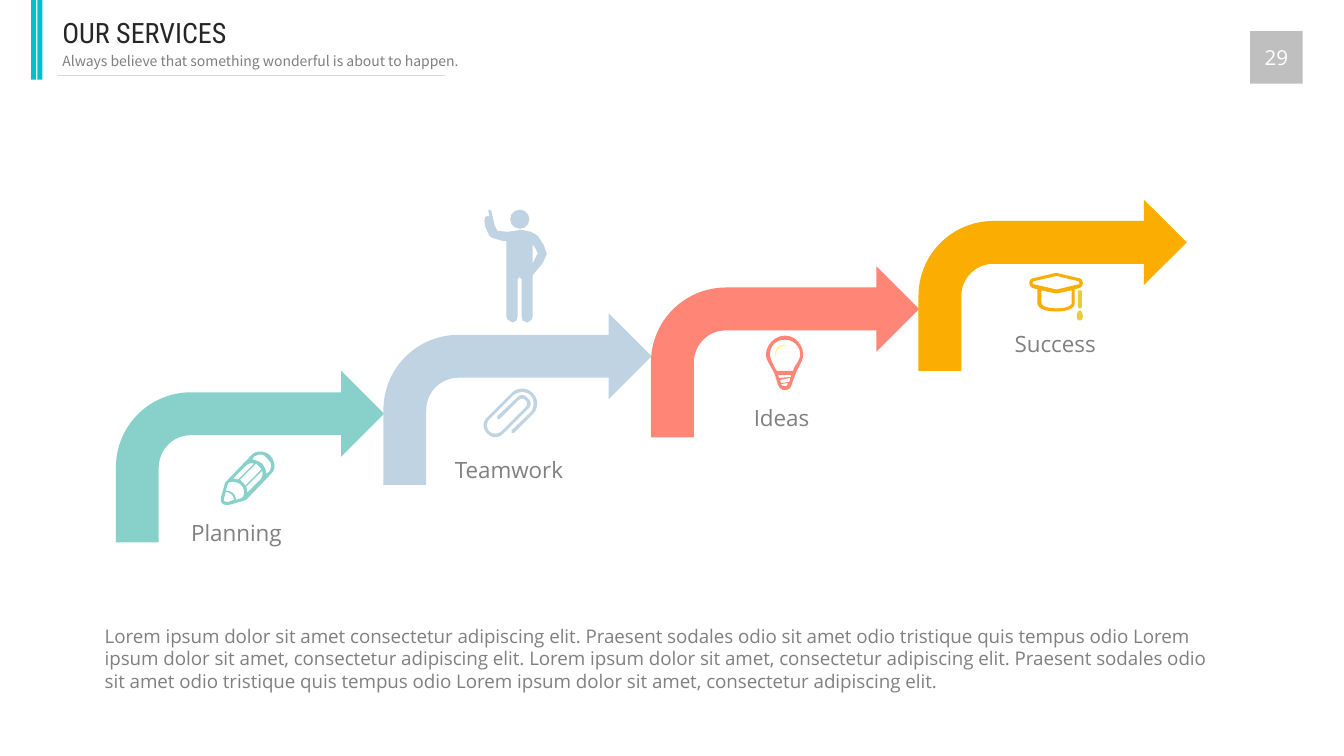
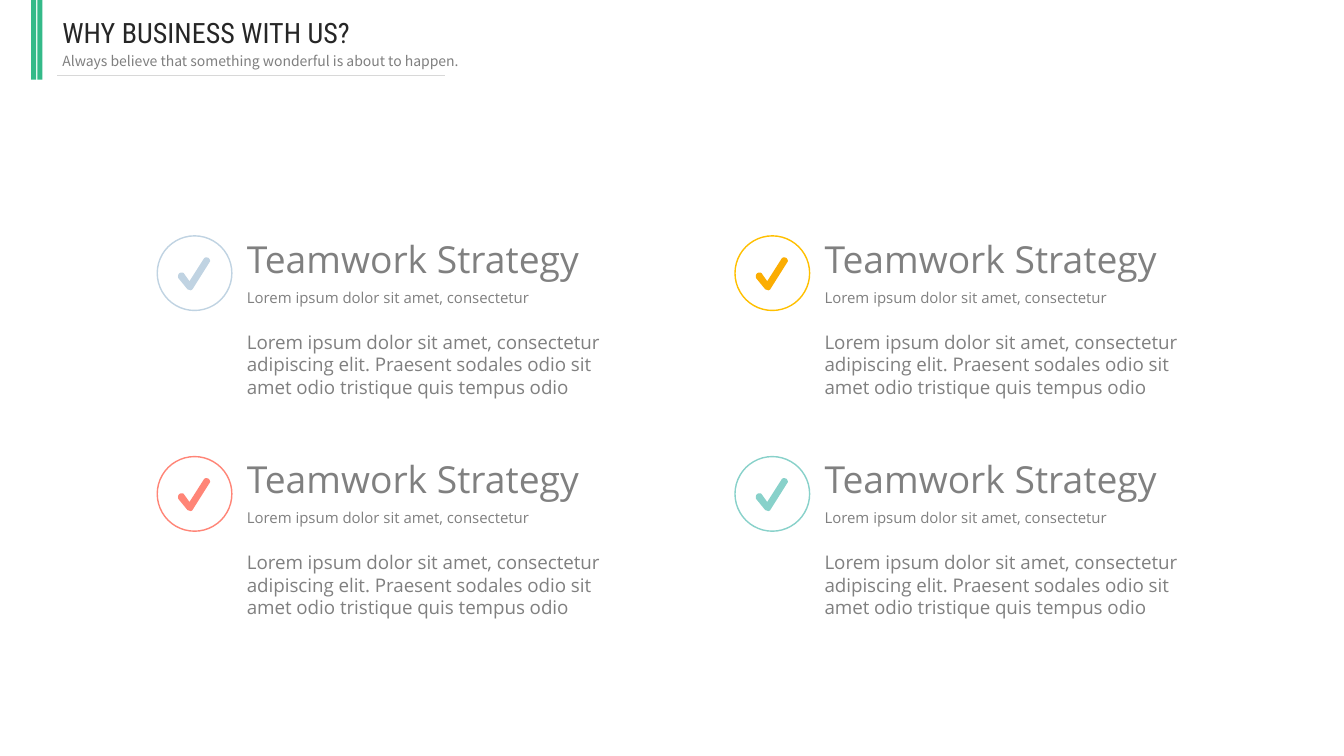
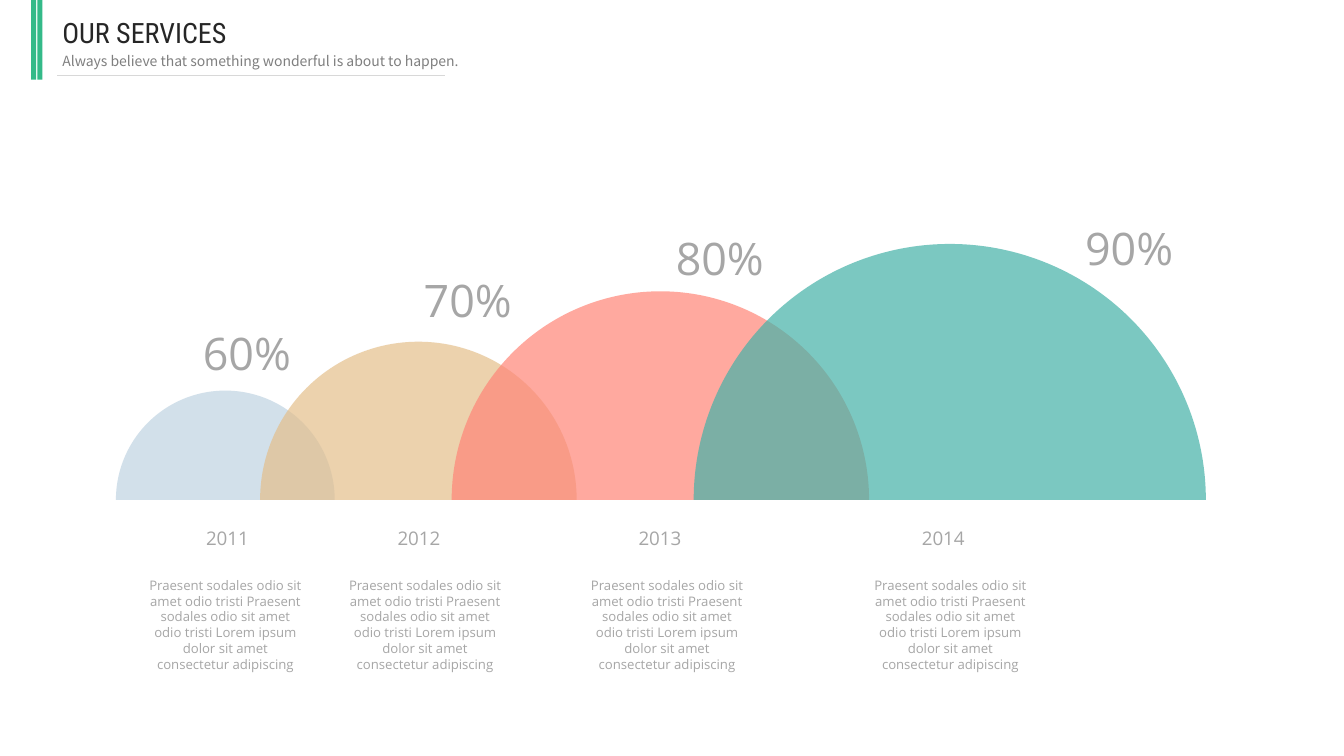
import dataclasses

import lxml.etree
import pptx
import pptx.dml.color
import pptx.enum.shapes
import pptx.enum.text
import pptx.oxml.ns
import pptx.util

Inches = pptx.util.Inches
SHAPE = pptx.enum.shapes.MSO_SHAPE
ALIGN = pptx.enum.text.PP_ALIGN


@dataclasses.dataclass(frozen=True)
class Theme:
    """Colours, fonts and type sizes of the deck."""
    mint: str = "88D1CA"
    blue: str = "C0D3E2"
    coral: str = "FF8577"
    amber: str = "FBAD02"
    gold: str = "FFC000"
    straw: str = "E7CE39"
    lemon: str = "F8F689"
    sand: str = "E4BF8B"
    teal: str = "44B2A8"
    cyan: str = "00C0CB"
    green: str = "34BA89"
    ink: str = "262626"
    gray: str = "808080"
    dim: str = "7F7F7F"
    pale: str = "A6A6A6"
    badge: str = "BFBFBF"
    rule: str = "D8D8D8"
    white: str = "FFFFFF"
    font: str = "Open Sans"
    head: str = "Roboto Condensed"
    sub: str = "Noto Sans CJK SC"
    title: float = 20
    lead: float = 10
    page: float = 14.67
    label: float = 16
    body: float = 13.33
    large: float = 26.67
    note: float = 10.67
    small: float = 9.33
    huge: float = 32


T = Theme()

CAP = [
    "M 26 16 L 4 11 C 3 11 3 8 4 8 L 26 3 28 3 49 8 C 50 9 50 11 49 11 L 28 16",
    "M 42 30 C 42 32 37 35 27 35 17 35 12 32 12 30 L 12 17 25 20 28 20 42 17",
    "M 53 10 C 53 8 52 5 49 5 L 28 0 25 0 4 5 C 1 5 0 8 0 10 0 12 1 14 4 15 "
    "L 8 16 8 30 C 8 34 13 38 27 38 40 38 45 34 45 30 L 45 16 49 15 "
    "C 52 14 53 12 53 10",
]
CORD = [
    "M 48 18 L 48 33 C 48 34 49 35 50 35 51 35 52 34 52 33 L 52 18 "
    "C 52 17 51 17 50 17 49 17 48 17 48 18",
]
DROP = [
    "M 50 37 C 48 37 47 41 47 43 47 45 48 47 50 47 52 47 53 45 53 43 "
    "53 41 52 37 50 37",
]
PENCIL = [
    "M 48 20 L 45 22 C 45 18 43 15 41 12 38 10 34 8 31 8 L 33 5 "
    "C 35 4 37 3 39 3 42 3 44 4 46 7 48 9 50 11 50 14 50 16 49 18 48 20",
    "M 15 48 C 15 46 14 43 12 41 10 40 8 39 5 39 L 7 32 8 31 "
    "C 11 29 16 30 20 33 24 37 24 43 21 46",
    "M 7 50 L 6 50 C 4 50 3 49 3 48 L 3 47 5 40 C 7 40 9 41 11 43 "
    "12 44 13 46 13 48",
    "M 17 28 C 16 27 14 27 12 27 L 25 14 C 27 12 30 11 33 12",
    "M 24 34 C 24 33 23 32 22 31 21 30 20 29 19 28 L 35 12 "
    "C 36 13 37 14 38 15 39 16 40 17 40 18",
    "M 26 40 C 26 38 26 37 25 35 L 41 19 C 42 23 41 26 39 28 L 26 41",
    "M 49 4 C 46 1 42 0 39 0 36 0 33 1 31 3 L 6 29 C 5 30 4 31 4 32 "
    "L 0 46 C 0 46 0 47 0 48 0 51 2 53 6 53 L 8 53 22 49 "
    "C 23 49 24 48 25 48 L 50 22 C 55 17 54 10 49 4",
]
BULB = [
    "M 27 35 L 11 35 C 10 34 9 32 8 30 6 26 4 22 4 19 4 10 10 4 19 4 "
    "27 4 34 10 34 19 34 22 32 26 29 30 28 32 27 34 27 35",
    "M 19 50 C 17 50 16 50 15 48 L 22 47 C 21 50 21 50 19 50",
    "M 13 42 L 12 39 25 39 25 41",
    "M 23 46 L 15 47 14 44 24 42 24 44",
    "M 19 0 C 9 0 0 9 0 19 0 25 7 33 9 39 12 48 12 54 19 54 "
    "26 54 25 48 29 39 31 33 37 25 37 19 37 9 29 0 19 0",
]
GLINT = [
    "M 19 9 C 13 9 9 13 9 19 9 20 10 20 10 19 10 14 14 10 19 10 20 10 20 9 19 9",
]
CLIP = [
    "M 49 5 C 43 -1 34 -1 28 5 L 4 29 C -1 33 -1 41 4 45 8 50 16 50 20 45 "
    "L 44 21 C 48 18 48 13 44 10 41 6 36 6 33 10 L 14 28 14 30 "
    "C 15 31 16 31 17 30 L 35 12 C 37 10 40 10 42 12 44 14 44 17 42 19 "
    "L 18 43 C 14 46 9 46 6 43 3 40 3 34 6 31 L 30 7 "
    "C 35 3 42 3 47 7 51 12 51 19 47 24 L 28 42 28 44 "
    "C 29 45 30 45 31 44 L 49 26 C 55 20 55 11 49 5",
]
MAN = [
    "M 59 35 L 53 26 50 24 46 22 37 20 23 22 13 21 10 15 7 1 5 0 4 1 5 6 "
    "1 7 0 11 1 17 5 26 8 28 18 31 22 31 22 106 23 109 28 112 32 110 33 106 "
    "33 69 35 67 37 69 37 106 38 110 43 112 47 109 48 106 48 65 53 59 58 53 "
    "62 44",
]
ELBOW = ["M 52 45 L 50 49 48 53 48 35 51 39 53 44"]
TICK = [
    "M 13 33 L 10 32 1 21 C 0 19 1 17 2 16 4 15 6 15 7 17 L 12 24 26 2 "
    "C 27 0 29 0 31 1 32 2 33 4 32 5 L 15 32 C 15 32 14 33 13 33",
]


def tint(code):
    """Turn a hex code into a colour."""
    return pptx.dml.color.RGBColor.from_string(code)


def paint(shape, fill=None, line=None, alpha=None):
    """Give a shape its fill, outline and opacity in percent."""
    shape.shadow.inherit = False
    if fill:
        shape.fill.solid()
        shape.fill.fore_color.rgb = tint(fill)
    else:
        shape.fill.background()
    if line:
        shape.line.color.rgb = tint(line)
        shape.line.width = pptx.util.Pt(1)
    else:
        shape.line.fill.background()
    if alpha:
        qn = pptx.oxml.ns.qn
        color = shape._element.spPr.find(qn("a:solidFill"))[0]
        lxml.etree.SubElement(color, qn("a:alpha")).set("val", str(alpha * 1000))
    return shape


def form(slide, kind, box, **look):
    """Add a painted preset shape in a box given in inches."""
    return paint(slide.shapes.add_shape(kind, *map(Inches, box)), **look)


def write(slide, text, box, size, font=T.font, color=T.gray, align=None,
          inset=(0.1, 0.05), wrap=True, host=None):
    """Write text in a new text box, or in the host shape."""
    frame = (host or slide.shapes.add_textbox(*map(Inches, box))).text_frame
    frame.word_wrap = wrap
    if host is None:
        frame.auto_size = pptx.enum.text.MSO_AUTO_SIZE.SHAPE_TO_FIT_TEXT
    frame.margin_left = frame.margin_right = Inches(inset[0])
    frame.margin_top = frame.margin_bottom = Inches(inset[1])
    para = frame.paragraphs[0]
    para.alignment = align
    run = para.add_run()
    run.text = text
    run.font.size = pptx.util.Pt(size)
    run.font.name = font
    run.font.color.rgb = tint(color)


def trace(outline, steps=6):
    """Turn an outline in hundredths of an inch into points in inches."""
    points = []
    for part in outline.replace("L", "|L").replace("C", "|C").split("|"):
        nums = [int(word) / 100 for word in part.split()[1:]]
        pairs = list(zip(nums[::2], nums[1::2]))
        if part[0] != "C":
            points += pairs
            continue
        for i in range(0, len(pairs), 3):
            knots = [points[-1]] + pairs[i:i + 3]
            for step in range(1, steps + 1):
                t = step / steps
                parts = ((1 - t) ** 3, 3 * t * (1 - t) ** 2,
                         3 * t * t * (1 - t), t ** 3)
                points.append(tuple(sum(w * knot[axis] for w, knot in zip(parts, knots))
                                    for axis in (0, 1)))
    return points


def icon(slide, outlines, left, top, fill):
    """Draw closed outlines as one freeform."""
    pen = None
    for outline in outlines:
        first, *rest = [tuple(map(Inches, point)) for point in trace(outline)]
        if pen is None:
            pen = slide.shapes.build_freeform(*first, scale=1.0)
        else:
            pen.move_to(*first)
        pen.add_line_segments(rest, close=True)
    paint(pen.convert_to_shape(Inches(left), Inches(top)), fill=fill)


def header(slide, title, color):
    """Place the twin bars, title, tagline and rule."""
    for left in (0.31, 0.37):
        form(slide, SHAPE.RECTANGLE, (left, 0, 0.05, 0.79), fill=color)
    write(slide, title, (0.52, 0.1, 4.23, 0.44), T.title, font=T.head, color=T.ink)
    write(slide, "Always believe that something wonderful is about to happen.",
          (0.52, 0.47, 4.23, 0.27), T.lead, font=T.sub, color=T.dim)
    rule = slide.shapes.add_connector(
        pptx.enum.shapes.MSO_CONNECTOR.STRAIGHT,
        *map(Inches, (0.57, 0.75, 4.41, 0.75)))
    rule.line.color.rgb = tint(T.rule)
    rule.line.width = pptx.util.Pt(0.75)
    lxml.etree.SubElement(rule._element.spPr, pptx.oxml.ns.qn("a:effectLst"))


def stage(slide, left, top, color, name, label, marks):
    """Place one bent arrow with its label and icons."""
    form(slide, SHAPE.BENT_ARROW, (left, top, 2.66, 1.7), fill=color)
    write(slide, name, (left + label[0], top + label[1], 1.35, 0.37),
          T.label, align=ALIGN.CENTER)
    for outlines, across, down, fill in marks:
        icon(slide, outlines, left + across, top + down, fill)


def stairs(slide):
    """Build the slide of four rising arrows."""
    header(slide, "OUR SERVICES", T.cyan)
    stages = [
        (3.68, T.mint, "Planning", (0.52, 1.42), [(PENCIL, 1.04, 0.8, T.mint)]),
        (3.11, T.blue, "Teamwork", (0.57, 1.37),
         [(CLIP, 0.99, 0.74, T.blue), (MAN, 1, -1.03, T.blue),
          (ELBOW, 1, -1.03, T.white)]),
        (2.64, T.coral, "Ideas", (0.62, 1.32),
         [(BULB, 1.14, 0.69, T.coral), (GLINT, 1.14, 0.69, T.lemon)]),
        (1.98, T.amber, "Success", (0.68, 1.25),
         [(CAP, 1.1, 0.73, T.amber), (CORD, 1.1, 0.73, T.straw),
          (DROP, 1.1, 0.73, T.straw)]),
    ]
    pitch = (9.11 - 1.15) / 3
    for i, (top, *rest) in enumerate(stages):
        stage(slide, 1.15 + i * pitch, top, *rest)
    form(slide, SHAPE.OVAL, (5.06, 2.08, 0.19, 0.19), fill=T.blue)
    write(slide, "Lorem ipsum dolor sit amet consectetur adipiscing elit. "
          "Praesent sodales odio sit amet odio tristique quis tempus odio "
          "Lorem ipsum dolor sit amet, consectetur adipiscing elit. "
          "Lorem ipsum dolor sit amet, consectetur adipiscing elit. "
          "Praesent sodales odio sit amet odio tristique quis tempus odio "
          "Lorem ipsum dolor sit amet, consectetur adipiscing elit.",
          (0.94, 6.15, 11.33, 0.77), T.body)
    badge = form(slide, SHAPE.RECTANGLE, (12.4, 0.31, 0.52, 0.52), fill=T.badge)
    write(slide, "29", None, T.page, color=T.white, align=ALIGN.CENTER, host=badge)


def reason(slide, left, top, ring, tick):
    """Place one ticked ring with its three texts."""
    form(slide, SHAPE.OVAL, (left, top + 0.05, 0.74, 0.74), line=ring)
    icon(slide, TICK, left + 0.2, top + 0.26, tick)
    side = left + 0.79
    write(slide, "Teamwork Strategy", (side, top, 4.58, 0.55), T.large)
    write(slide, "Lorem ipsum dolor sit amet, consectetur adipiscing elit. "
          "Praesent sodales odio sit amet odio tristique quis tempus odio",
          (side, top + 0.94, 3.85, 0.77), T.body)
    write(slide, "Lorem ipsum dolor sit amet, consectetur",
          (side, top + 0.52, 3.13, 0.28), T.note)


def reasons(slide):
    """Build the slide of four reasons in a grid."""
    header(slide, "WHY BUSINESS WITH US?", T.green)
    looks = [(T.blue, T.blue), (T.coral, T.coral), (T.gold, T.amber), (T.mint, T.mint)]
    for i, look in enumerate(looks):
        col, row = divmod(i, 2)
        reason(slide, 1.56 + col * 5.73, 2.29 + row * 2.19, *look)


def dome(slide, left, base, size, color, year, share, year_x, body_x, share_at):
    """Place one half disc on the base line with its texts."""
    top = base - size / 2
    arc = form(slide, SHAPE.ARC, (left, top, size, size), fill=color, alpha=70)
    arc.adjustments[0] = 108
    arc.adjustments[1] = 0
    look = dict(color=T.pale, align=ALIGN.CENTER)
    write(slide, year, (left + year_x, base + 0.2, 1.01, 0.36), T.body,
          inset=(0.13, 0.07), **look)
    write(slide, "Praesent sodales odio sit amet odio tristi Praesent sodales odio "
          "sit amet odio tristi Lorem ipsum dolor sit amet consectetur adipiscing",
          (left + body_x, base + 0.72, 1.77, 1.04), T.small, **look)
    write(slide, share, (left + share_at[0], top + share_at[1], 1.1, 0.64),
          T.huge, wrap=False, **look)


def domes(slide):
    """Build the slide of four growing half discs."""
    header(slide, "OUR SERVICES", T.green)
    for left, *rest in [
        (1.15, 2.17, T.blue, "2011", "60%", 0.6, 0.2, (0.75, -0.69)),
        (2.58, 3.14, T.sand, "2012", "70%", 1.07, 0.75, (1.51, -0.73)),
        (4.48, 4.14, T.coral, "2013", "80%", 1.56, 1.25, (2.11, -0.65)),
        (6.88, 5.08, T.teal, "2014", "90%", 1.97, 1.66, (3.77, -0.28)),
    ]:
        dome(slide, left, 4.96, *rest)


def main():
    """Build and save the deck."""
    deck = pptx.Presentation()
    deck.slide_width = Inches(13.33)
    deck.slide_height = Inches(7.5)
    for build in (stairs, reasons, domes):
        build(deck.slides.add_slide(deck.slide_layouts[6]))
    deck.save("out.pptx")


if __name__ == "__main__":
    main()
